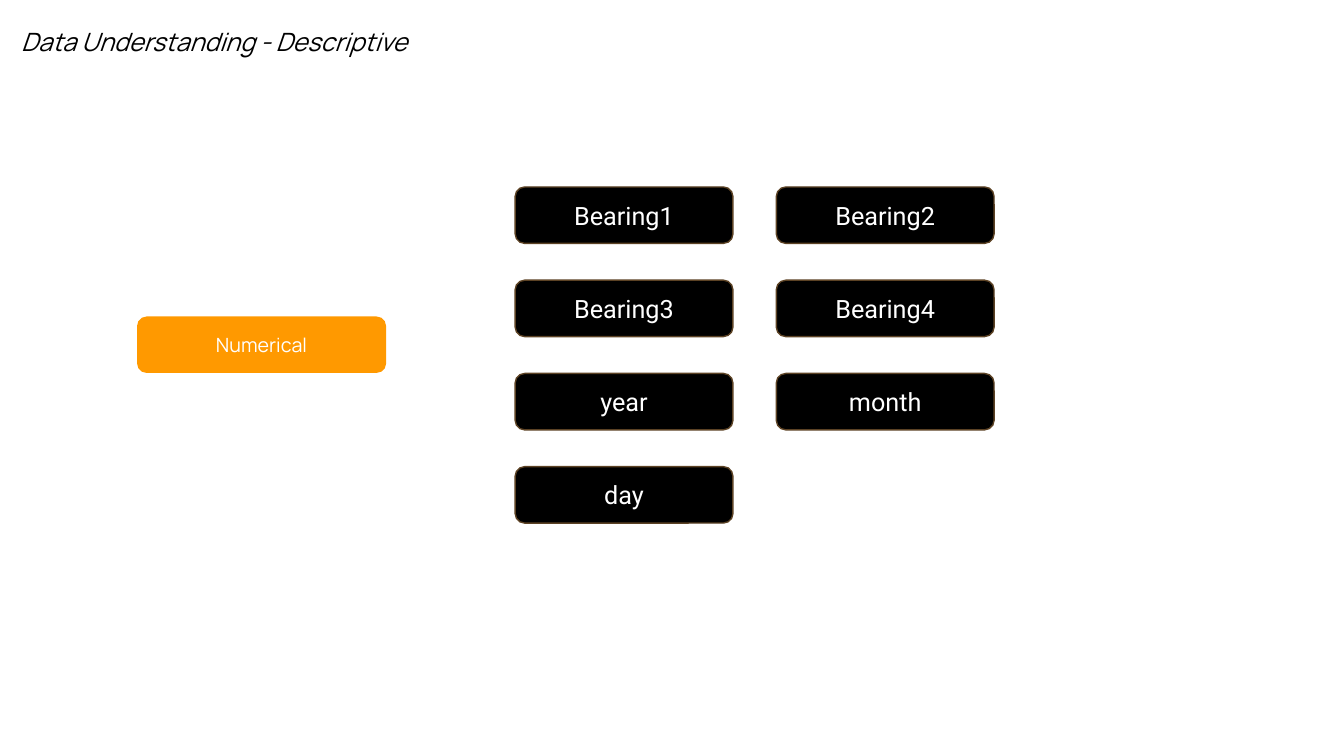
from pptx import Presentation
from pptx.dml.color import RGBColor
from pptx.enum.shapes import MSO_SHAPE as Shape
from pptx.enum.text import MSO_ANCHOR as Anchor, PP_ALIGN as Align
from pptx.util import Inches, Pt

TITLE = "Data Understanding - Descriptive"
CATEGORY = "Numerical"
VARIABLES = [
    ["Bearing1", "Bearing2"],
    ["Bearing3", "Bearing4"],
    ["year", "month"],
    ["day"],
]

BLACK = RGBColor(0x00, 0x00, 0x00)
WHITE = RGBColor(0xFF, 0xFF, 0xFF)
ORANGE = RGBColor(0xFF, 0x99, 0x00)
BROWN = RGBColor(0x5C, 0x42, 0x24)

BOX_HEIGHT = 0.56
CATEGORY_LEFT, CATEGORY_TOP, CATEGORY_WIDTH = 1.36, 3.14, 2.47
GRID_LEFT, GRID_TOP = 5.11, 1.855
COLUMN_STEP, ROW_STEP = 2.59, 0.925
VARIABLE_WIDTH = 2.16


def format_text(shape, text, font_name, size, color, align):
    frame = shape.text_frame
    frame.text = text
    frame.word_wrap = True
    frame.vertical_anchor = Anchor.MIDDLE
    paragraph = frame.paragraphs[0]
    paragraph.alignment = align
    font = paragraph.runs[0].font
    font.name, font.size, font.color.rgb = font_name, Pt(size), color
    return paragraph


def add_box(slide, text, left, top, width, fill, font_name, size, outline=None):
    box = slide.shapes.add_shape(
        Shape.ROUNDED_RECTANGLE,
        Inches(left), Inches(top), Inches(width), Inches(BOX_HEIGHT))
    box.shadow.inherit = False
    box.fill.solid()
    box.fill.fore_color.rgb = fill
    if outline is None:
        box.line.fill.background()
    else:
        box.line.color.rgb = outline
        box.line.width = Pt(1)
    format_text(box, text, font_name, size, WHITE, Align.CENTER)


def main():
    presentation = Presentation()
    presentation.slide_width = Inches(13.33)
    presentation.slide_height = Inches(7.5)
    slide = presentation.slides.add_slide(presentation.slide_layouts[5])

    title = slide.shapes.title
    title.left, title.top = Inches(0.11), Inches(0.15)
    title.width, title.height = Inches(7.39), Inches(BOX_HEIGHT)
    paragraph = format_text(title, TITLE, "Manrope", 18, BLACK, Align.LEFT)
    paragraph.line_spacing = 0.9
    paragraph.runs[0].font.italic = True

    add_box(slide, CATEGORY, CATEGORY_LEFT, CATEGORY_TOP, CATEGORY_WIDTH,
            ORANGE, "Manrope", 14)
    for row, names in enumerate(VARIABLES):
        for column, name in enumerate(names):
            add_box(slide, name,
                    GRID_LEFT + column * COLUMN_STEP, GRID_TOP + row * ROW_STEP,
                    VARIABLE_WIDTH, BLACK, "Roboto", 18, BROWN)

    presentation.save("out.pptx")


if __name__ == "__main__":
    main()
